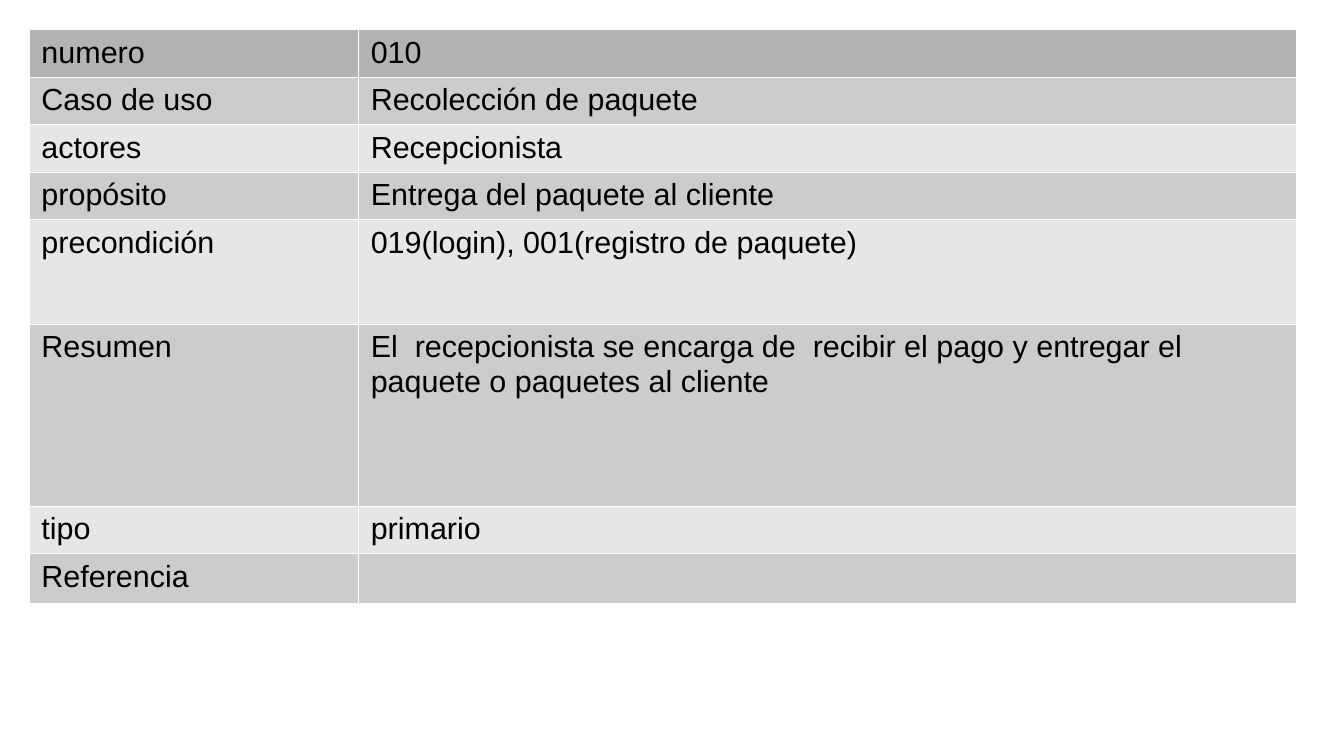
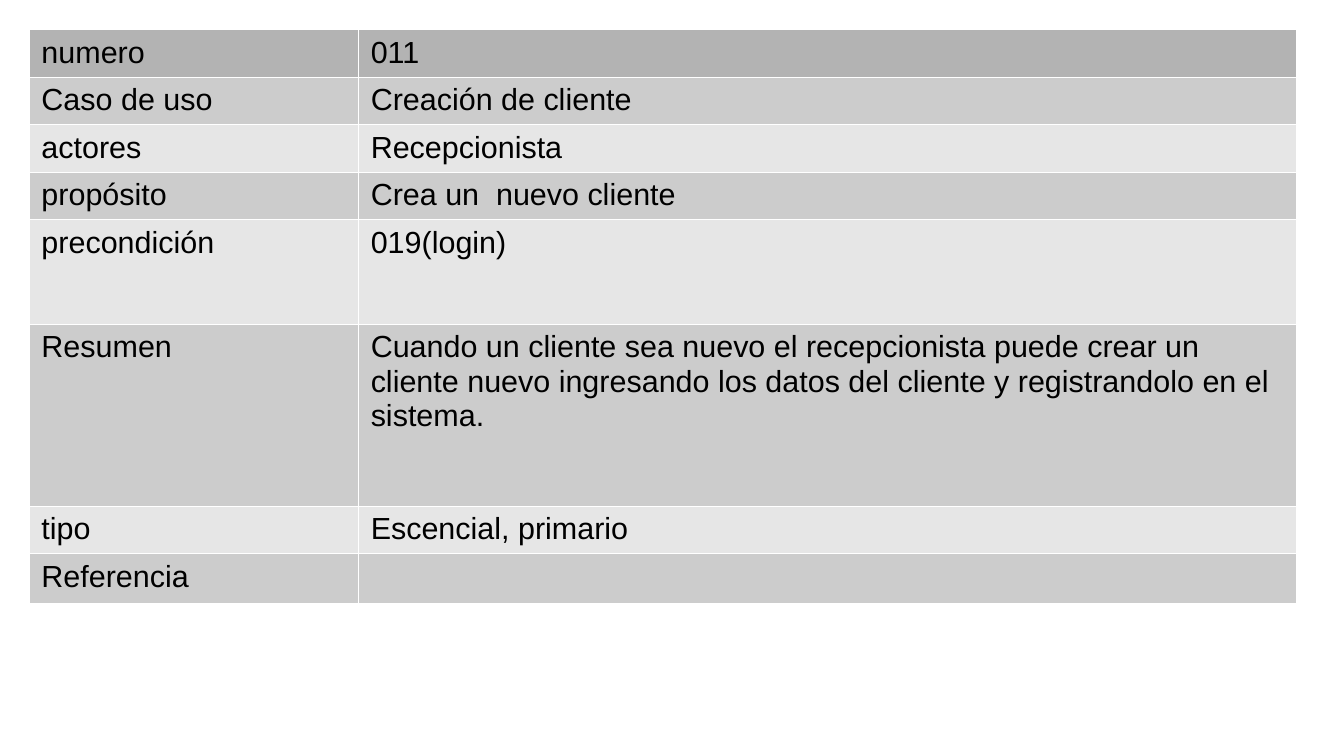
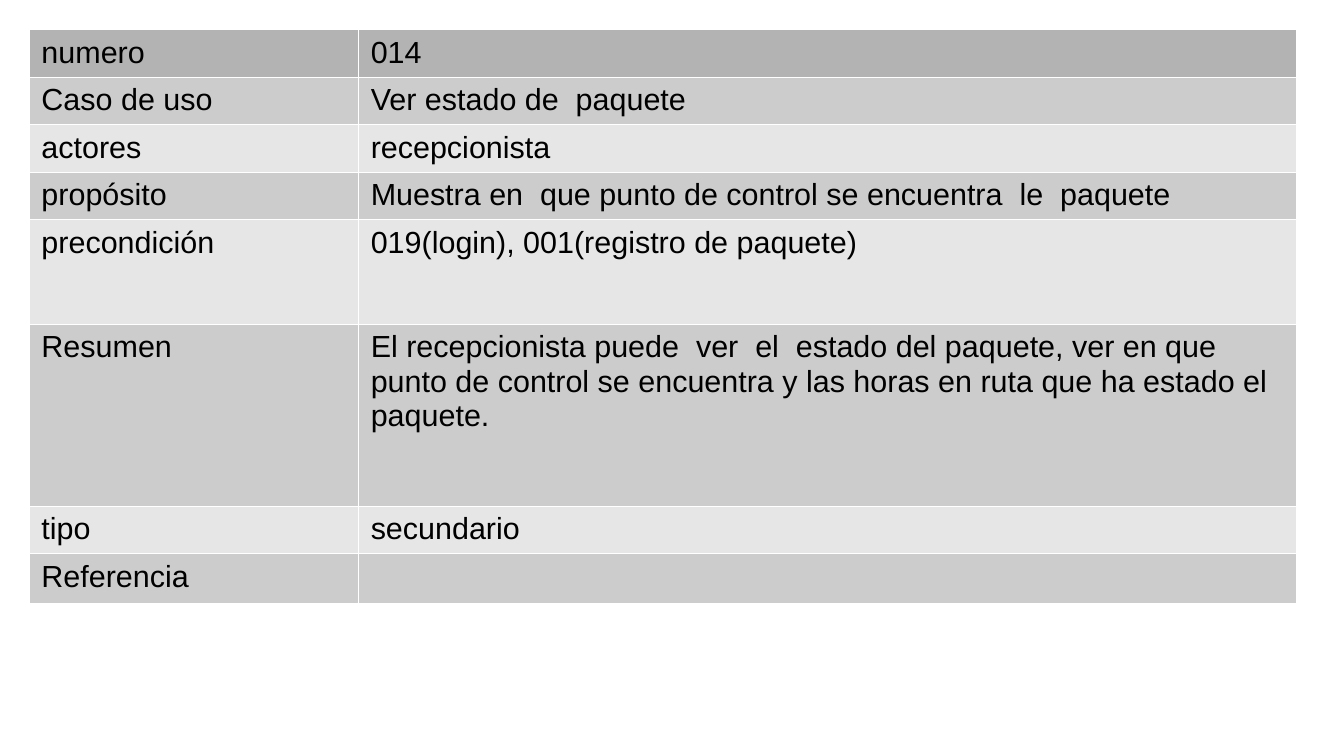
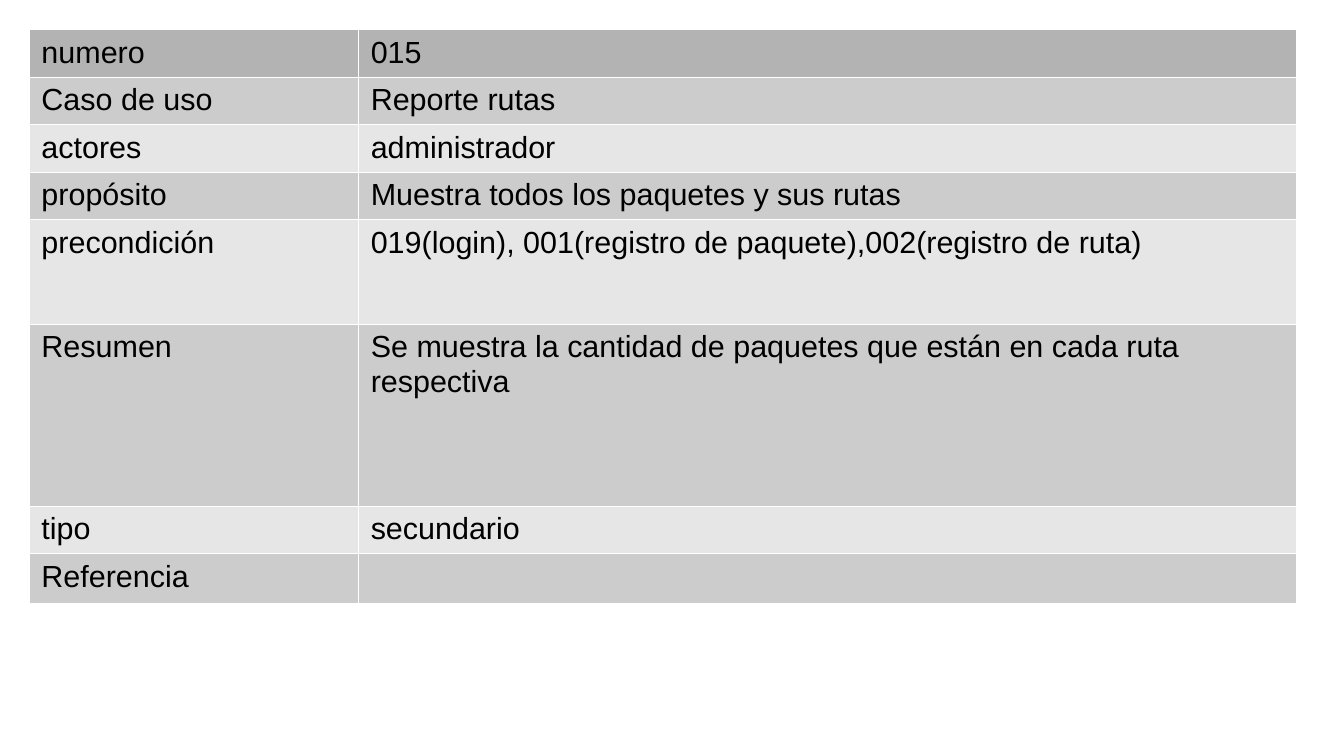
"""Builds four use-case description slides, each holding one banded table."""
from lxml import etree
from pptx import Presentation
from pptx import util as u
from pptx.dml import color
from pptx.oxml import ns

FIELDS = ["numero", "Caso de uso", "actores", "propósito",
          "precondición", "Resumen", "tipo", "Referencia"]
USE_CASES = [
    ["010", "Recolección de paquete", "Recepcionista",
     "Entrega del paquete al cliente",
     "019(login), 001(registro de paquete)",
     "El  recepcionista se encarga de  recibir el pago y entregar el "
     "paquete o paquetes al cliente",
     "primario", ""],
    ["011", "Creación de cliente", "Recepcionista",
     "Crea un  nuevo cliente",
     "019(login)",
     "Cuando un cliente sea nuevo el recepcionista puede crear un cliente "
     "nuevo ingresando los datos del cliente y registrandolo en el sistema.",
     "Escencial, primario", ""],
    ["014", "Ver estado de  paquete", "recepcionista",
     "Muestra en  que punto de control se encuentra  le  paquete",
     "019(login), 001(registro de paquete)",
     "El recepcionista puede  ver  el  estado del paquete, ver en que punto "
     "de control se encuentra y las horas en ruta que ha estado el paquete.",
     "secundario", ""],
    ["015", "Reporte rutas", "administrador",
     "Muestra todos los paquetes y sus rutas",
     "019(login), 001(registro de paquete),002(registro de ruta)",
     "Se muestra la cantidad de paquetes que están en cada ruta respectiva",
     "secundario", ""],
]

SLIDE_WIDTH, SLIDE_HEIGHT = 11.02, 6.2
MARGIN = 0.24
COLUMN_WIDTHS = [2.7, 7.69]
LINE_ROW = 0.39
TALL_ROWS = {"precondición": 0.86, "Resumen": 1.49}
ROW_HEIGHTS = [TALL_ROWS.get(field, LINE_ROW) for field in FIELDS]
HEADER, BANDS = "B3B3B3", ["E6E6E6", "CCCCCC"]
INK, BORDER = "000000", "FFFFFF"
BORDER_WIDTH = u.Pt(0.06)
FONT, FONT_SIZE = "Arial", 18


def rgb(value):
    return color.RGBColor.from_string(value)


def add_borders(cell):
    properties = cell._tc.get_or_add_tcPr()
    for side in ("a:lnL", "a:lnR", "a:lnT", "a:lnB"):
        line = etree.SubElement(properties, ns.qn(side), w=str(int(BORDER_WIDTH)))
        fill = etree.SubElement(line, ns.qn("a:solidFill"))
        etree.SubElement(fill, ns.qn("a:srgbClr"), val=BORDER)


def format_cell(cell, content, fill):
    add_borders(cell)
    cell.fill.solid()
    cell.fill.fore_color.rgb = rgb(fill)
    cell.margin_left = cell.margin_right = u.Inches(0.1)
    cell.margin_top = cell.margin_bottom = u.Inches(0.05)
    paragraph = cell.text_frame.paragraphs[0]
    paragraph.text = content
    for run in paragraph.runs:
        run.font.name = FONT
        run.font.size = u.Pt(FONT_SIZE)
        run.font.bold = False
        run.font.color.rgb = rgb(INK)


def add_use_case(presentation, values):
    slide = presentation.slides.add_slide(presentation.slide_layouts[6])
    table = slide.shapes.add_table(
        len(FIELDS), len(COLUMN_WIDTHS), u.Inches(MARGIN), u.Inches(MARGIN),
        u.Inches(sum(COLUMN_WIDTHS)), u.Inches(sum(ROW_HEIGHTS))).table
    for column, width in zip(table.columns, COLUMN_WIDTHS):
        column.width = u.Inches(width)
    for row, height in zip(table.rows, ROW_HEIGHTS):
        row.height = u.Inches(height)
    for index, contents in enumerate(zip(FIELDS, values)):
        fill = BANDS[index % 2] if index else HEADER
        for cell, content in zip(table.rows[index].cells, contents):
            format_cell(cell, content, fill)


def main():
    presentation = Presentation()
    presentation.slide_width = u.Inches(SLIDE_WIDTH)
    presentation.slide_height = u.Inches(SLIDE_HEIGHT)
    for values in USE_CASES:
        add_use_case(presentation, values)
    presentation.save("out.pptx")


if __name__ == "__main__":
    main()
